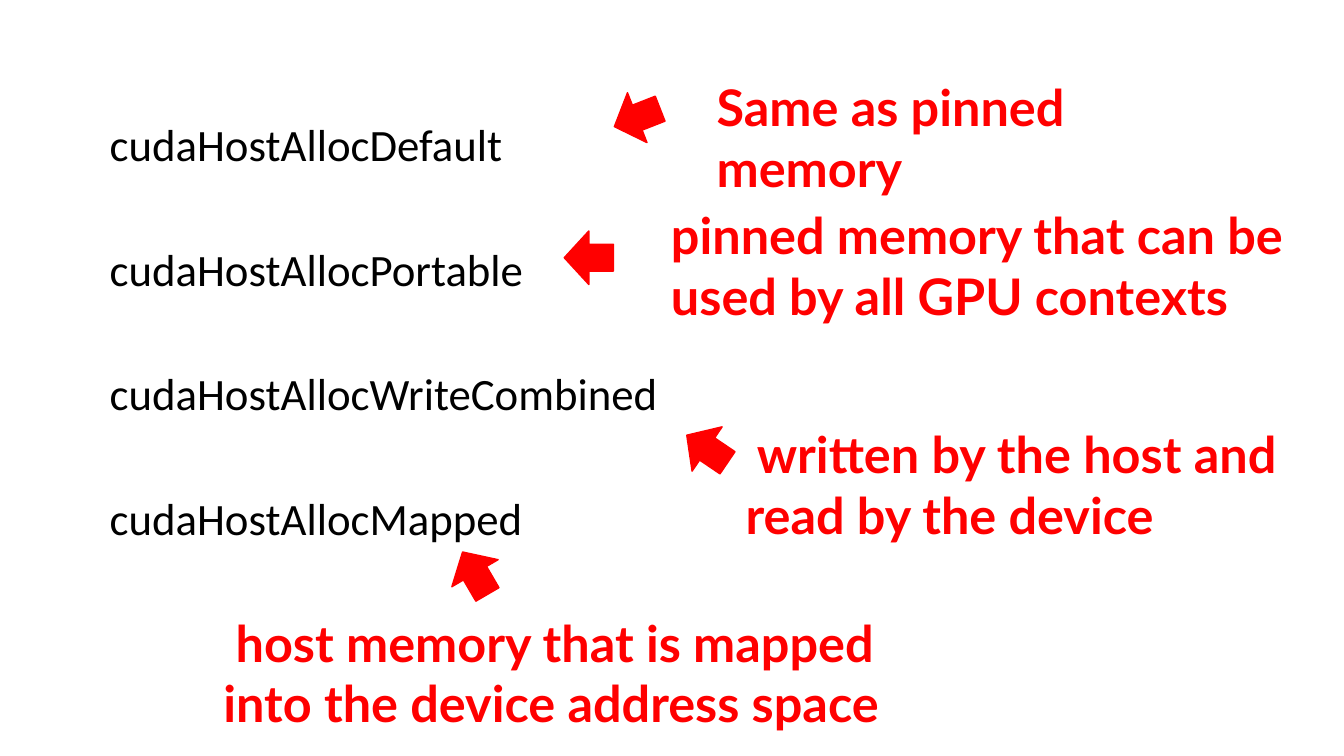
from pptx import Presentation
from pptx.dml.color import RGBColor as Rgb
from pptx.enum.shapes import MSO_SHAPE as Shape
from pptx.util import Cm, Pt

HUES = {"text": "000000", "note": "FF0000"}
FLAGS = [" cudaHostAllocDefault", " cudaHostAllocPortable",
         " cudaHostAllocWriteCombined", " cudaHostAllocMapped"]
NOTES = [
    ("Same as pinned memory", (17.81, 1.8, 13.97, 3.33), (-2.37, 0.49), 338.6),
    ("pinned memory that can be used by all GPU contexts",
     (16.66, 5.03, 15.93, 3.33), (-2.44, 0.79), 0),
    (" written by the host and read by the device",
     (18.54, 10.54, 13.97, 3.33), (-1.34, 0.1), 34.1),
    (" host memory that is mapped into the device address space",
     (5.38, 15.29, 17.7, 3.33), (5.97, -1.52), 59.7),
]


def style(para, face, size, hue, bold=False):
    """Set the font of a whole paragraph."""
    font = para.font
    font.name, font.size, font.bold = face, Pt(size), bold
    font.color.rgb = Rgb.from_string(HUES[hue])


def add_frame(slide, box):
    """Add a wrapping text box and return its text frame."""
    frame = slide.shapes.add_textbox(*map(Cm, box)).text_frame
    frame.word_wrap = True
    return frame


def add_flags(slide, box):
    """Add the column of allocation flags."""
    frame = add_frame(slide, box)
    for i, flag in enumerate(FLAGS):
        para = frame.add_paragraph() if i else frame.paragraphs[0]
        para.text = flag
        para.line_spacing = 0.9
        para.space_before = Pt(54.5 if i else 0)
        style(para, "Calibri", 32, "text")


def add_note(slide, text, box, shift, turn):
    """Add a red remark and the arrow set off from its corner."""
    para = add_frame(slide, box).paragraphs[0]
    para.text = text
    style(para, "Lato", 36, "note", True)
    left, top = box[0] + shift[0], box[1] + shift[1]
    arrow = slide.shapes.add_shape(
        Shape.LEFT_ARROW, Cm(left), Cm(top), Cm(1.24), Cm(1.35))
    arrow.rotation = turn
    arrow.shadow.inherit = False
    arrow.fill.solid()
    for part in (arrow.fill.fore_color, arrow.line.color):
        part.rgb = Rgb.from_string(HUES["note"])
    arrow.line.width = Pt(1)


def main():
    """Build the slide and save it."""
    deck = Presentation()
    deck.slide_width, deck.slide_height = Cm(33.87), Cm(19.05)
    slide = deck.slides.add_slide(deck.slide_layouts[6])
    add_flags(slide, (2.26, 2.97, 18.87, 12.09))
    for note in NOTES:
        add_note(slide, *note)
    deck.save("out.pptx")


if __name__ == "__main__":
    main()
